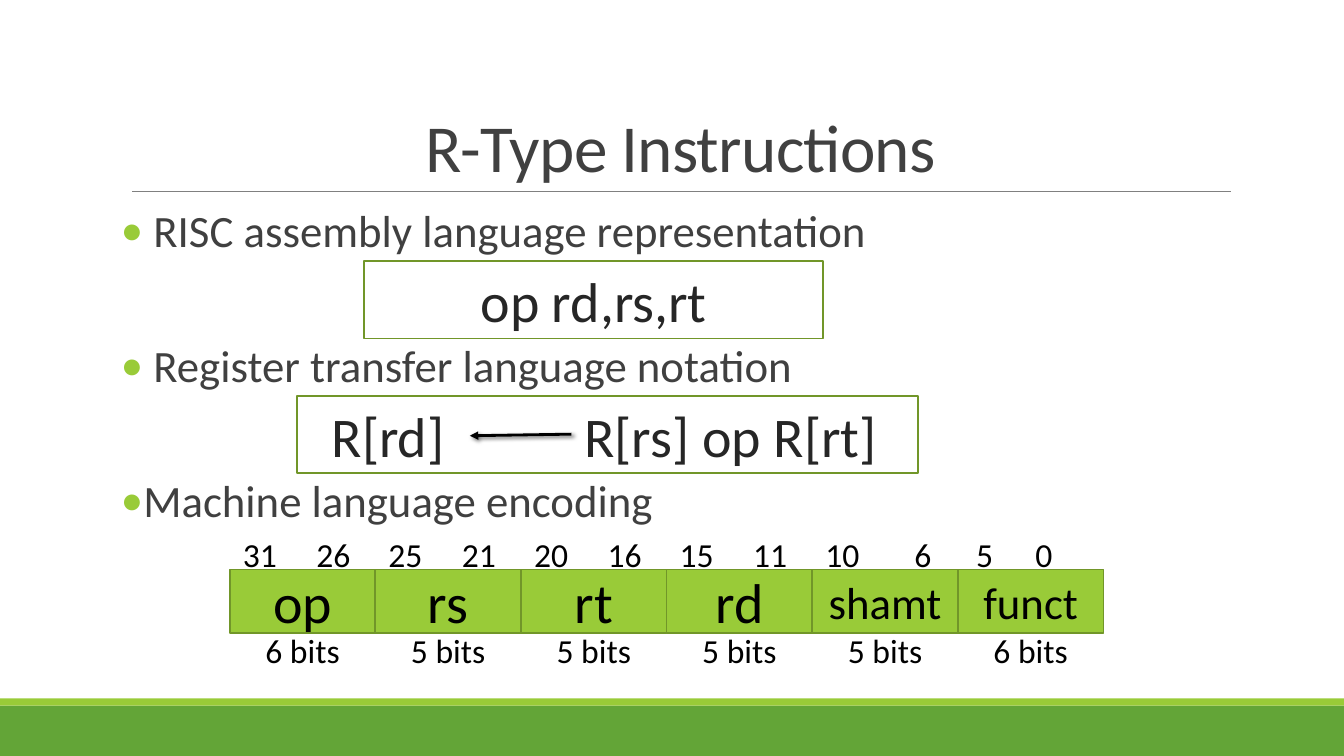
import pptx
import pptx.dml.color
import pptx.enum.shapes
import pptx.enum.text
import pptx.oxml
import pptx.oxml.ns
import pptx.util

Cm = pptx.util.Cm
Pt = pptx.util.Pt
RGBColor = pptx.dml.color.RGBColor
ALIGN = pptx.enum.text.PP_ALIGN
ANCHOR = pptx.enum.text.MSO_ANCHOR

FONT = "Calibri"
GREEN = RGBColor(0x63, 0xA5, 0x37)
LIME = RGBColor(0x99, 0xCB, 0x38)
OLIVE = RGBColor(0x71, 0x96, 0x29)
GREY = RGBColor(0x80, 0x80, 0x80)
HEADING = RGBColor(0x40, 0x40, 0x40)
CODE = RGBColor(0x26, 0x26, 0x26)
BLACK = RGBColor(0, 0, 0)

TOPICS = [" RISC assembly language representation ",
          " Register transfer language notation",
          "Machine language encoding"]
# name, text size, high bit, low bit, inset of high bit, distance to end of low bit
FIELDS = [("op", 40, 31, 26, 0.33, 3.04),
          ("rs", 40, 25, 21, 0.33, 3.04),
          ("rt", 40, 20, 16, 0.33, 3.04),
          ("rd", 40, 15, 11, 0.33, 3.04),
          ("shamt", 32, 10, 6, 0.33, 3.0),
          ("funct", 32, 5, 0, 0.46, 2.38)]
FIELDS_LEFT, FIELD_WIDTH = 5.79, 3.67


def xml(markup):
    """Parse one element of the drawing namespace."""
    return pptx.oxml.parse_xml(
        markup.replace(" ", f" {pptx.oxml.ns.nsdecls('a')} ", 1))


def write(frame, text, size, color, align=ALIGN.CENTER, anchor=ANCHOR.MIDDLE,
          left_inset=0, tab=None, tab_align="l", line_spacing=None, tracking=None):
    """Fill a text frame, one paragraph per line, and return the paragraphs."""
    frame.word_wrap = True
    frame.vertical_anchor = anchor
    frame.margin_left, frame.margin_right = Cm(left_inset), 0
    frame.text = text
    for paragraph in frame.paragraphs:
        paragraph.alignment = align
        if line_spacing:
            paragraph.line_spacing = line_spacing
        if tab:
            paragraph._p.get_or_add_pPr().append(xml(
                f'<a:tabLst ><a:tab pos="{Cm(tab)}" algn="{tab_align}"/></a:tabLst>'))
        for run in paragraph.runs:
            run.font.name, run.font.size = FONT, Pt(size)
            run.font.color.rgb = color
            if tracking is not None:
                run._r.get_or_add_rPr().set("spc", str(tracking))
    return frame.paragraphs


def label(slide, box, text, size, color, **text_format):
    """Add a text box; box is left, top, width, height in cm."""
    frame = slide.shapes.add_textbox(*map(Cm, box)).text_frame
    return write(frame, text, size, color, **text_format)


def rectangle(slide, box, fill=None, outline=None):
    """Add a flat rectangle and return it."""
    shape = slide.shapes.add_shape(
        pptx.enum.shapes.MSO_SHAPE.RECTANGLE, *map(Cm, box))
    shape.shadow.inherit = False
    if fill is None:
        shape.fill.background()
    else:
        shape.fill.solid()
        shape.fill.fore_color.rgb = fill
    if outline is None:
        shape.line.fill.background()
    else:
        shape.line.color.rgb = outline
        shape.line.width = Pt(1.25)
    return shape


def line(slide, ends, color, width, effects=""):
    """Add a straight line with the given effects and return it."""
    connector = slide.shapes.add_connector(
        pptx.enum.shapes.MSO_CONNECTOR.STRAIGHT, *map(Cm, ends))
    connector.line.color.rgb = color
    connector.line.width = Pt(width)
    connector._element.spPr.append(
        xml(f"<a:effectLst >{effects}</a:effectLst>"))
    return connector


def transfer_arrow(slide):
    """Draw the shadowed arrow from the operation to its destination."""
    shadow = (f'<a:outerShdw blurRad="{Pt(3)}" dist="{Pt(2)}" dir="2700000">'
              '<a:srgbClr val="000000"><a:alpha val="60000"/></a:srgbClr>'
              '</a:outerShdw>')
    arrow = line(slide, (14.4, 10.94, 11.84, 10.98), BLACK, 2, shadow)
    arrow.line._get_or_add_ln().append(xml('<a:tailEnd type="triangle"/>'))


def topics(slide):
    """Write the bulleted topics, spaced to leave room for the boxes."""
    paragraphs = label(slide, (3.05, 5.13, 27.94, 11.18), "\n".join(TOPICS), 32,
                       HEADING, align=ALIGN.LEFT, anchor=ANCHOR.TOP,
                       line_spacing=0.9)
    for paragraph in paragraphs:
        paragraph.space_before, paragraph.space_after = Pt(60), Pt(2)
        properties = paragraph._p.get_or_add_pPr()
        properties.set("marL", str(Cm(0.25)))
        properties.set("indent", str(Cm(-0.25)))
        properties.append(xml(f'<a:buClr ><a:srgbClr val="{LIME}"/></a:buClr>'))
        properties.append(xml('<a:buFont typeface="Calibri"/>'))
        properties.append(xml('<a:buChar char="•"/>'))


def encoding_field(slide, index, name, size, high, low, inset, low_end):
    """Draw one instruction field with its bit numbers and width."""
    left = FIELDS_LEFT + index * FIELD_WIDTH
    cell = rectangle(slide, (left, 14.35, FIELD_WIDTH, 1.61), LIME, OLIVE)
    write(cell.text_frame, name, size, BLACK)
    label(slide, (left, 15.98, FIELD_WIDTH, 0.79), f"{high - low + 1} bits",
          24, BLACK)
    label(slide, (left, 13.56, FIELD_WIDTH, 0.79), f"{high}\t{low}", 24, BLACK,
          align=ALIGN.LEFT, left_inset=inset, tab=low_end - inset, tab_align="r")


def main():
    """Build the slide and save it."""
    deck = pptx.Presentation()
    deck.slide_width, deck.slide_height = Cm(33.87), Cm(19.05)
    slide = deck.slides.add_slide(deck.slide_layouts[6])

    rectangle(slide, (0, 17.78, 33.87, 1.27), GREEN)
    rectangle(slide, (0, 17.6, 33.87, 0.18), LIME)
    line(slide, (3.33, 4.83, 31.01, 4.83), GREY, 0.5)
    label(slide, (3.18, 0.79, 27.94, 4.04), "R-Type Instructions", 48, HEADING,
          anchor=ANCHOR.BOTTOM, line_spacing=0.85, tracking=-50)
    topics(slide)

    assembly = rectangle(slide, (9.17, 6.58, 11.58, 1.95), outline=OLIVE)
    write(assembly.text_frame, "op rd,rs,rt", 40, CODE)
    transfer = rectangle(slide, (7.49, 9.98, 15.65, 1.95), outline=OLIVE)
    write(transfer.text_frame, "R[rd]\tR[rs] op R[rt]", 40, CODE,
          align=ALIGN.LEFT, left_inset=0.87, tab=6.37)
    transfer_arrow(slide)

    for index, field in enumerate(FIELDS):
        encoding_field(slide, index, *field)
    deck.save("out.pptx")


main()
